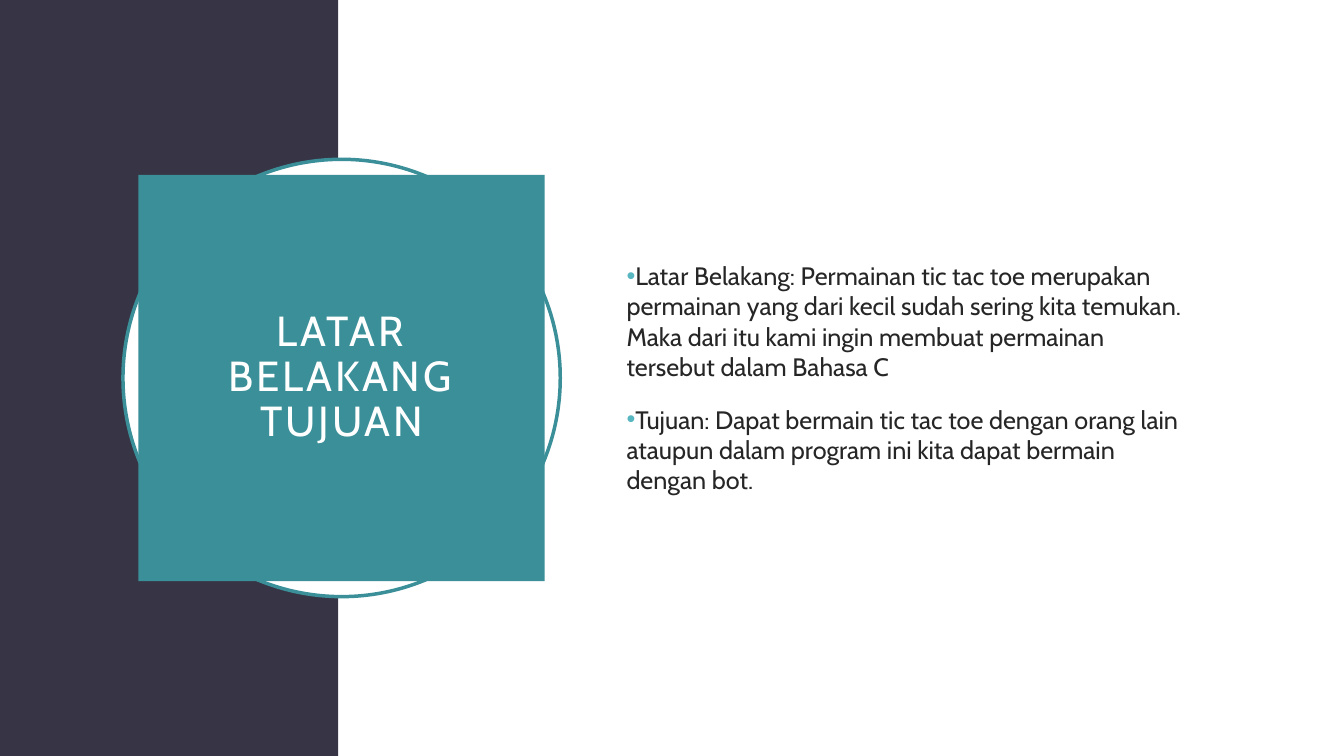
from lxml import etree
from pptx import Presentation
from pptx.dml.color import RGBColor
from pptx.enum.shapes import MSO_SHAPE
from pptx.enum.text import MSO_ANCHOR, PP_ALIGN
from pptx.oxml.ns import qn
from pptx.util import Cm, Pt

RECTANGLE, OVAL = MSO_SHAPE.RECTANGLE, MSO_SHAPE.OVAL
MIDDLE, CENTER = MSO_ANCHOR.MIDDLE, PP_ALIGN.CENTER

WHITE = RGBColor(0xFF, 0xFF, 0xFF)
NIGHT = RGBColor(0x37, 0x35, 0x45)
TEAL = RGBColor(0x3A, 0x8F, 0x98)
AQUA = RGBColor(0x58, 0xB6, 0xC0)
INK = RGBColor(0x26, 0x26, 0x26)

SLIDE_WIDTH, SLIDE_HEIGHT = 33.87, 19.05
BAND_WIDTH = 8.53
BADGE_X, BADGE_Y = 8.61, SLIDE_HEIGHT / 2
RING_SIZE, BADGE_SIZE = 11.02, 10.24

TITLE_LINES = ["LATAR BELAKANG", "TUJUAN"]
POINTS = [
    "Latar Belakang: Permainan tic tac toe merupakan permainan yang dari kecil "
    "sudah sering kita temukan. Maka dari itu kami ingin membuat permainan "
    "tersebut dalam Bahasa C",
    "Tujuan: Dapat bermain tic tac toe dengan orang lain ataupun dalam program "
    "ini kita dapat bermain dengan bot.",
]


class SlideBuilder:
    """Draws the elements of one slide in a shared style."""

    font_name = "Cabin"

    def __init__(self, slide):
        self.slide = slide

    def add_panel(self, kind, left, top, width, height, fill, line=None):
        shape = self.slide.shapes.add_shape(
            kind, Cm(left), Cm(top), Cm(width), Cm(height))
        shape.shadow.inherit = False
        shape.fill.solid()
        shape.fill.fore_color.rgb = fill
        if line is None:
            shape.line.fill.background()
        else:
            shape.line.color.rgb = line
            shape.line.width = Pt(2.5)
        return shape

    def add_centred(self, kind, size, fill, line=None):
        return self.add_panel(kind, BADGE_X - size / 2, BADGE_Y - size / 2,
                              size, size, fill, line)

    def add_run(self, paragraph, text, size, color):
        run = paragraph.add_run()
        run.text = text
        run.font.name = self.font_name
        run.font.size = Pt(size)
        run.font.color.rgb = color
        return run

    def add_title(self, shape, lines):
        frame = shape.text_frame
        frame.word_wrap = True
        frame.vertical_anchor = MIDDLE
        frame.margin_left = frame.margin_right = Cm(2)
        frame.margin_top = frame.margin_bottom = Cm(0.5)
        paragraph = frame.paragraphs[0]
        paragraph.alignment = CENTER
        paragraph.line_spacing = 0.9
        for index, line in enumerate(lines):
            if index:
                paragraph.add_line_break()
            run = self.add_run(paragraph, line, 30, WHITE)
            run.font._element.set("spc", "200")

    def add_bullet(self, paragraph, color):
        properties = paragraph._p.get_or_add_pPr()
        properties.set("marL", "0")
        properties.set("indent", str(-Cm(0.64)))
        bullet_color = etree.SubElement(properties, qn("a:buClr"))
        etree.SubElement(bullet_color, qn("a:srgbClr"), val=str(color))
        etree.SubElement(properties, qn("a:buFont"), typeface="Arial")
        etree.SubElement(properties, qn("a:buChar"), char="•")

    def add_points(self, left, top, width, height, points):
        frame = self.slide.shapes.add_textbox(
            Cm(left), Cm(top), Cm(width), Cm(height)).text_frame
        frame.word_wrap = True
        frame.vertical_anchor = MIDDLE
        for index, point in enumerate(points):
            paragraph = frame.add_paragraph() if index else frame.paragraphs[0]
            paragraph.space_before = Pt(10)
            paragraph.space_after = Pt(6)
            self.add_bullet(paragraph, AQUA)
            self.add_run(paragraph, point, 18, INK)


def main():
    presentation = Presentation()
    presentation.slide_width = Cm(SLIDE_WIDTH)
    presentation.slide_height = Cm(SLIDE_HEIGHT)
    slide = presentation.slides.add_slide(presentation.slide_layouts[6])
    builder = SlideBuilder(slide)

    builder.add_panel(RECTANGLE, 0, 0, BAND_WIDTH, SLIDE_HEIGHT, NIGHT)
    builder.add_panel(RECTANGLE, BAND_WIDTH, 0, SLIDE_WIDTH - BAND_WIDTH,
                      SLIDE_HEIGHT, WHITE)
    builder.add_centred(OVAL, RING_SIZE, WHITE, TEAL)
    badge = builder.add_centred(RECTANGLE, BADGE_SIZE, TEAL)
    builder.add_title(badge, TITLE_LINES)
    builder.add_points(15.54, 3.89, 14.78, 11.25, POINTS)

    presentation.save("out.pptx")


if __name__ == "__main__":
    main()
